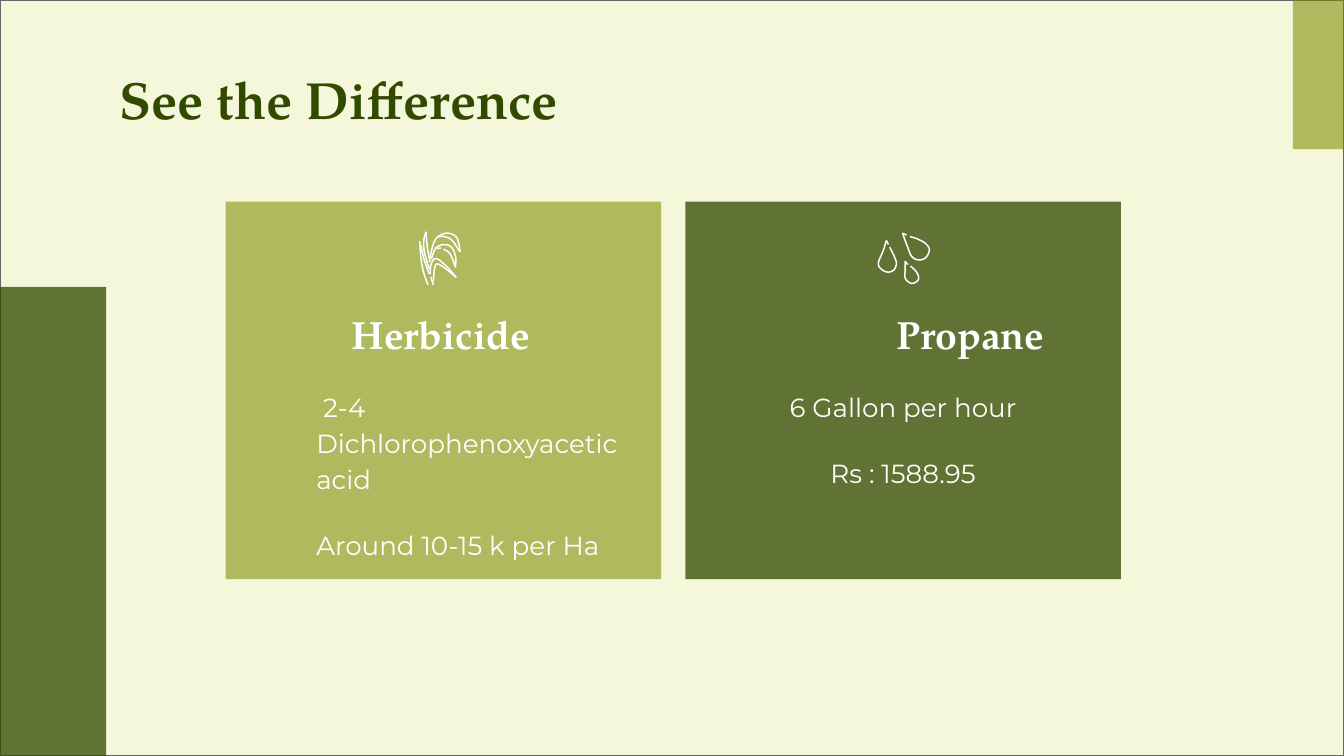
from dataclasses import dataclass

from lxml.etree import SubElement
from pptx import Presentation
from pptx.dml.color import RGBColor
from pptx.enum.shapes import MSO_SHAPE as Preset
from pptx.enum.text import MSO_ANCHOR as Anchor, PP_ALIGN as Align
from pptx.oxml.ns import qn
from pptx.util import Inches, Pt


@dataclass(frozen=True)
class Theme:
    cream: str = "F4F7DA"
    border: str = "666666"
    olive: str = "7C8C03"
    forest: str = "324A00"
    white: str = "FFFFFF"
    olive_alpha: int = 57
    forest_alpha: int = 76
    heading_font: str = "TeX Gyre Pagella"
    body_font: str = "Montserrat"
    title_size: int = 28
    heading_size: int = 21
    body_size: int = 14
    stroke: float = 0.8


THEME = Theme()
OLIVE = (THEME.olive, THEME.olive_alpha)
FOREST = (THEME.forest, THEME.forest_alpha)

SLIDE_W = 10
SLIDE_H = SLIDE_W * 9 / 16
TITLE = "See the Difference"

# Icon strokes: points in hundredths of an inch from the icon's corner
PLANT = [
    [(0.5, 7.5), (1, 18), (3, 30), (6.5, 40)],
    [(1, 10), (3.5, 21), (7.5, 32)],
    [(5, 0.5), (3.5, 6), (3.5, 14), (5.5, 22), (7.5, 28)],
    [(5, 0.5), (6, 12), (8, 23)],
    [(8, 20), (10, 11), (13.5, 4.5), (21, 1.5), (28, 5), (30.5, 15.5)],
    [(13, 4.5), (18, 4), (24, 6.5), (30, 15)],
    [(9, 21), (12, 13), (18, 10), (24, 12), (27, 19), (27, 27)],
    [(18, 13.5), (23, 17), (27, 27)],
    [(8, 32), (9, 24), (13, 20.5), (21, 27), (27.5, 34.5)],
    [(10.5, 37), (11.5, 27), (14, 24.5), (21, 29), (27.5, 34.5)],
    [(8.5, 34), (10.5, 40)],
    [(13, 13), (16, 12.5)],
]
DROPS = [
    [(24, 3), (30, 5), (36, 8.5), (38.5, 13), (36, 18.5), (31, 20.5),
     (25.5, 18), (22, 10), (18.5, 0.5)],
    [(18.5, 0.5), (21.5, 2)],
    [(9, 11), (12, 17), (14, 23), (12, 28), (7.5, 29.5), (3, 27.5),
     (0.5, 23), (4, 14), (6.5, 6)],
    [(6.5, 6), (8, 9)],
    [(24.5, 25), (29, 29.5), (30.5, 34.5), (27.5, 37.5), (24, 37.5),
     (20.5, 34), (20.5, 28), (20.5, 21.5)],
    [(20.5, 21.5), (22.5, 24)],
]

CARDS = [
    dict(heading="Herbicide", fill=OLIVE, shift=-0.02,
         heading_format=dict(align=Align.CENTER),
         lines=[" 2-4 Dichlorophenoxyacetic acid", "Around 10-15 k per Ha"],
         body_format=dict(indent=0.5),
         icon=PLANT, icon_at=(3.12, 1.72)),
    dict(heading="Propane", fill=FOREST, shift=0,
         heading_format=dict(indent=1),
         lines=["6 Gallon per hour", "Rs : 1588.95"],
         body_format=dict(align=Align.CENTER),
         icon=DROPS, icon_at=(6.53, 1.73)),
]
CARD_LEFT, CARD_TOP, CARD_W, CARD_H, CARD_GAP = 1.68, 1.5, 3.24, 2.81, 0.18
HEADING_TOP, HEADING_W, HEADING_H = 2.21, 2.3, 0.63
BODY_TOP, BODY_W, BODY_H = 2.78, 3.05, 1.7


def rgb(color):
    return RGBColor.from_string(color)


def add_block(slide, box, color, alpha=100, border=None):
    block = slide.shapes.add_shape(Preset.RECTANGLE, *map(Inches, box))
    block.shadow.inherit = False
    block.fill.solid()
    block.fill.fore_color.rgb = rgb(color)
    if alpha < 100:
        tint = block.fill._xPr.find(qn("a:solidFill"))[0]
        SubElement(tint, qn("a:alpha"), val=str(alpha * 1000))
    if border:
        block.line.color.rgb = rgb(border)
        block.line.width = Pt(0.75)
    else:
        block.line.fill.background()


def add_text(slide, box, lines, *, font, size, color=THEME.white, bold=False,
             align=Align.LEFT, indent=0, spacing=None, gap=0):
    frame = slide.shapes.add_textbox(*map(Inches, box)).text_frame
    frame.word_wrap = True
    frame.vertical_anchor = Anchor.TOP
    frame.margin_left = frame.margin_right = Inches(0.1)
    frame.margin_top = frame.margin_bottom = Inches(0.1)
    for index, line in enumerate(lines):
        paragraph = frame.add_paragraph() if index else frame.paragraphs[0]
        paragraph.alignment = align
        if indent:
            paragraph._p.get_or_add_pPr().set("marL", str(Inches(indent)))
        if spacing:
            paragraph.line_spacing = spacing
        if index:
            paragraph.space_before = Pt(gap)
        run = paragraph.add_run()
        run.text = line
        run.font.name, run.font.size, run.font.bold = font, Pt(size), bold
        run.font.color.rgb = rgb(color)


def smooth(points, steps=6):
    """Return points along a Catmull-Rom curve through the given points."""
    padded = [points[0], *points, points[-1]]
    curve = [points[0]]
    for a, b, c, d in zip(padded, padded[1:], padded[2:], padded[3:]):
        for step in range(1, steps + 1):
            t = step / steps
            curve.append(tuple(
                (2 * q + (r - p) * t + (2 * p - 5 * q + 4 * r - s) * t ** 2
                 + (3 * q - p - 3 * r + s) * t ** 3) / 2
                for p, q, r, s in zip(a, b, c, d)))
    return curve


def add_icon(slide, corner, strokes):
    left, top = corner
    curves = [[(Inches(left + x / 100), Inches(top + y / 100))
               for x, y in smooth(stroke)] for stroke in strokes]
    builder = slide.shapes.build_freeform(*curves[0][0])
    for index, curve in enumerate(curves):
        if index:
            builder.move_to(*curve[0])
        builder.add_line_segments(curve[1:], close=False)
    icon = builder.convert_to_shape()
    icon.shadow.inherit = False
    icon.fill.background()
    icon.line.color.rgb = rgb(THEME.white)
    icon.line.width = Pt(THEME.stroke)


def add_card(slide, left, card):
    add_block(slide, (left, CARD_TOP, CARD_W, CARD_H), *card["fill"])
    center = left + CARD_W / 2 + card["shift"]
    add_text(slide, (center - BODY_W / 2, BODY_TOP, BODY_W, BODY_H),
             card["lines"], font=THEME.body_font, size=THEME.body_size,
             spacing=1.15, gap=16, **card["body_format"])
    add_text(slide, (center - HEADING_W / 2, HEADING_TOP, HEADING_W, HEADING_H),
             [card["heading"]], font=THEME.heading_font,
             size=THEME.heading_size, bold=True, **card["heading_format"])
    add_icon(slide, card["icon_at"], card["icon"])


def main():
    deck = Presentation()
    deck.slide_width, deck.slide_height = Inches(SLIDE_W), Inches(SLIDE_H)
    slide = deck.slides.add_slide(deck.slide_layouts[6])
    add_block(slide, (0, 0, SLIDE_W, SLIDE_H), THEME.cream, border=THEME.border)
    add_block(slide, (SLIDE_W - 0.38, 0, 0.38, 1.11), *OLIVE)
    add_block(slide, (0, SLIDE_H - 3.49, 0.79, 3.49), *FOREST)
    add_text(slide, (0.79, 0.4, 8.42, 0.63), [TITLE], font=THEME.heading_font,
             size=THEME.title_size, color=THEME.forest, bold=True)
    for index, card in enumerate(CARDS):
        add_card(slide, CARD_LEFT + index * (CARD_W + CARD_GAP), card)
    deck.save("out.pptx")


if __name__ == "__main__":
    main()
